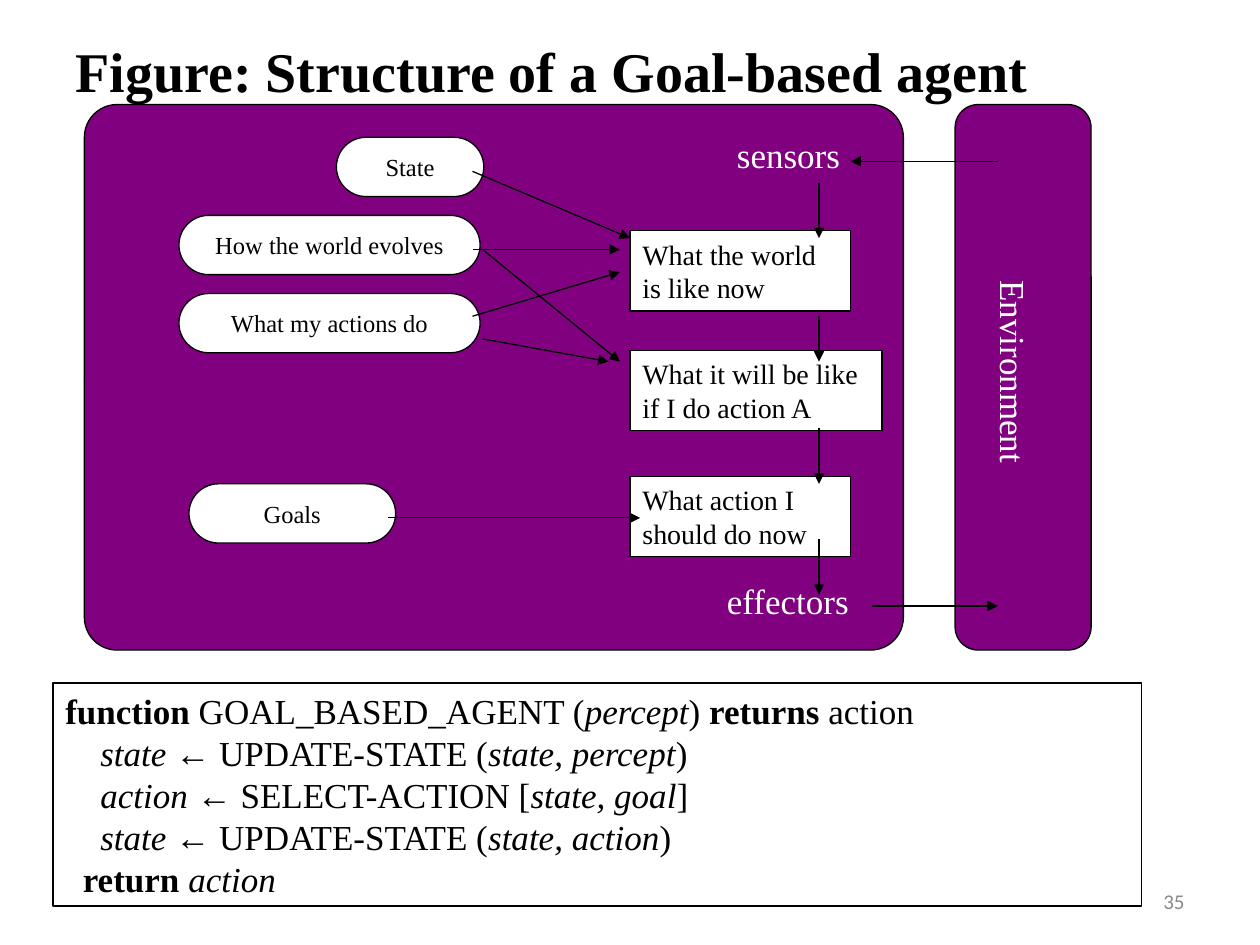
from lxml import etree
from pptx import Presentation
from pptx.dml.color import RGBColor
from pptx.enum import shapes, text
from pptx.oxml.ns import qn
from pptx.util import Inches, Pt

BLACK = RGBColor(0x00, 0x00, 0x00)
WHITE = RGBColor(0xFF, 0xFF, 0xFF)
PURPLE = RGBColor(0x80, 0x00, 0x80)
GREY = RGBColor(0x89, 0x89, 0x89)
SERIF = "Times New Roman"

ROUNDED = shapes.MSO_SHAPE.ROUNDED_RECTANGLE
RECTANGLE = shapes.MSO_SHAPE.RECTANGLE
LEFT, CENTER, RIGHT = text.PP_ALIGN.LEFT, text.PP_ALIGN.CENTER, text.PP_ALIGN.RIGHT
TOP, MIDDLE = text.MSO_ANCHOR.TOP, text.MSO_ANCHOR.MIDDLE

PANELS = [((0.67, 0.83, 6.5, 4.33), 0.06), ((7.58, 0.83, 1.08, 4.33), 0.17)]
KNOWLEDGE = [
    ("State", 2.67, 1.09, 1.17),
    ("How the world evolves", 1.42, 1.71, 2.39),
    ("What my actions do", 1.42, 2.33, 2.39),
    ("Goals", 1.5, 3.84, 1.64),
]
STEPS = [
    ("What the world is like now", 1.83, 1.75),
    ("What it will be like if I do action A", 2.78, 2),
    ("What action I should do now", 3.78, 1.75),
]
LABELS = [
    ("sensors", (5.75, 1.01, 1.02, 0.44), 0),
    ("effectors", (5.67, 4.55, 1.33, 0.44), 0),
    ("Environment", (7.22, 2.73, 1.65, 0.44), 90),
]
ARROWS = [
    ((7.92, 1.28), (6.75, 1.28)),
    ((6.92, 4.81), (7.92, 4.81)),
    ((6.5, 1.45), (6.5, 1.89)),
    ((6.5, 2.51), (6.5, 2.87)),
    ((6.5, 3.4), (6.5, 3.84)),
    ((6.5, 4.28), (6.5, 4.72)),
    ((3.75, 1.36), (5, 1.89)),
    ((3.75, 1.98), (4.92, 1.98)),
    ((3.75, 2.51), (4.92, 2.16)),
    ((3.83, 1.98), (4.92, 2.87)),
    ((3.83, 2.69), (4.83, 2.87)),
    ((3.08, 4.11), (5.08, 4.11)),
]
ASSIGNMENTS = [
    ("state ", " UPDATE-STATE (", "state, percept", ")"),
    ("action ", " SELECT-ACTION [", "state, goal", "]"),
    ("state ", " UPDATE-STATE (", "state, action", ")"),
]


def add_run(paragraph, words, size, color=BLACK, font=SERIF, style=""):
    """Append a run; style holds b for bold and i for italic."""
    run = paragraph.add_run()
    run.text = words
    run.font.name = font
    run.font.size = Pt(size)
    run.font.color.rgb = color
    run.font.bold = "b" in style
    run.font.italic = "i" in style


def add_box(slide, kind, place, fill=None, rounding=None):
    """Add an outlined preset shape, unfilled when no fill is given."""
    box = slide.shapes.add_shape(kind, *map(Inches, place))
    box.shadow.inherit = False
    if fill is None:
        box.fill.background()
    else:
        box.fill.solid()
        box.fill.fore_color.rgb = fill
    box.line.color.rgb = BLACK
    box.line.width = Pt(0.75)
    if rounding is not None:
        box.adjustments[0] = rounding
    return box


def write(shape, words, size, color=BLACK, font=SERIF, align=LEFT, anchor=TOP, wrap=True):
    """Write one paragraph into a shape."""
    frame = shape.text_frame
    frame.word_wrap = wrap
    frame.vertical_anchor = anchor
    paragraph = frame.paragraphs[0]
    paragraph.alignment = align
    add_run(paragraph, words, size, color, font)


def add_label(slide, words, place, size, color, rotation=0, **layout):
    """Add a text box holding one line."""
    label = slide.shapes.add_textbox(*map(Inches, place))
    label.rotation = rotation
    write(label, words, size, color, **layout)


def add_arrow(slide, start, end):
    """Draw a straight line with a triangle at its end."""
    arrow = slide.shapes.add_connector(
        shapes.MSO_CONNECTOR.STRAIGHT, *map(Inches, start + end))
    arrow.line.color.rgb = BLACK
    arrow.line.width = Pt(0.75)
    properties = arrow.element.spPr
    etree.SubElement(properties.find(qn("a:ln")), qn("a:tailEnd"), type="triangle")
    etree.SubElement(properties, qn("a:effectLst"))


def add_title(slide, words):
    """Place and fill the title placeholder."""
    title = slide.shapes.title
    title.left, title.top, title.width, title.height = map(Inches, (0.5, 0.17, 9, 0.78))
    title.text_frame.vertical_anchor = MIDDLE
    paragraph = title.text_frame.paragraphs[0]
    paragraph.alignment = LEFT
    add_run(paragraph, words, 32, style="b")


def add_pseudocode(slide):
    """Add the framed agent function."""
    frame = add_box(slide, RECTANGLE, (0.42, 5.42, 8.64, 1.77)).text_frame
    frame.word_wrap = True
    frame.vertical_anchor = TOP
    lines = [[("function", "b"), (" GOAL_BASED_AGENT (", ""), ("percept", "i"),
              (") ", ""), ("returns", "b"), (" action", "")]]
    for target, call, arguments, close in ASSIGNMENTS:
        lines.append([("    ", ""), (target, "i"), ("←", ""), (call, ""),
                      (arguments, "i"), (close, "")])
    lines.append([("  ", ""), ("return ", "b"), ("action", "i")])
    for index, line in enumerate(lines):
        paragraph = frame.add_paragraph() if index else frame.paragraphs[0]
        paragraph.alignment = LEFT
        for words, style in line:
            add_run(paragraph, words, 20, font="Arial" if words == "←" else SERIF, style=style)


def main():
    """Build the goal-based agent slide."""
    deck = Presentation()
    deck.slide_width, deck.slide_height = Inches(10), Inches(7.5)
    slide = deck.slides.add_slide(deck.slide_layouts[5])
    add_title(slide, "Figure: Structure of a Goal-based agent")
    for place, rounding in PANELS:
        add_box(slide, ROUNDED, place, PURPLE, rounding)
    for words, left, top, width in KNOWLEDGE:
        pill = add_box(slide, ROUNDED, (left, top, width, 0.47), WHITE, 0.5)
        write(pill, words, 14, align=CENTER, anchor=MIDDLE)
    for words, top, width in STEPS:
        step = add_box(slide, RECTANGLE, (5, top, width, 0.64), WHITE)
        write(step, words, 16, anchor=MIDDLE)
    for words, place, rotation in LABELS:
        add_label(slide, words, place, 20, WHITE, rotation, wrap=False)
    for start, end in ARROWS:
        add_arrow(slide, start, end)
    add_pseudocode(slide)
    add_label(slide, "35", (7.17, 6.95, 2.33, 0.4), 12, GREY,
              font="Calibri", align=RIGHT, anchor=MIDDLE)
    deck.save("out.pptx")


if __name__ == "__main__":
    main()
